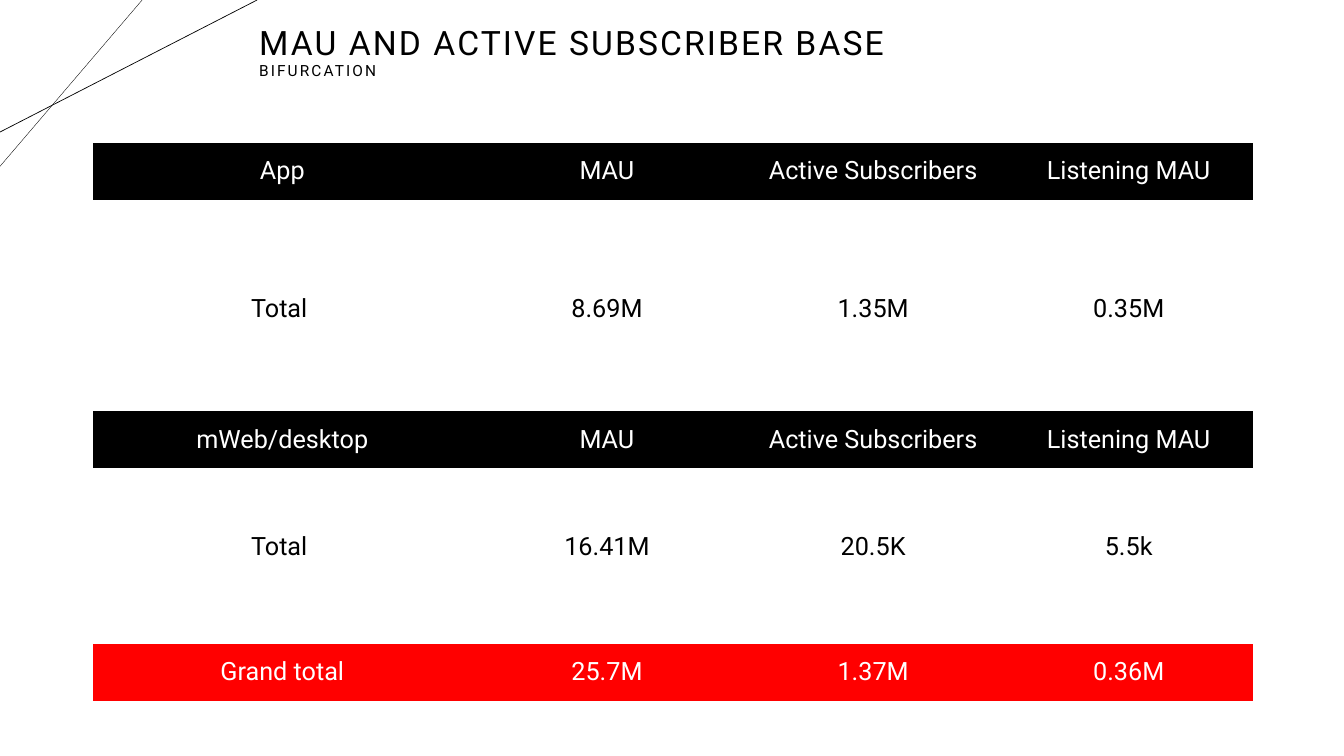
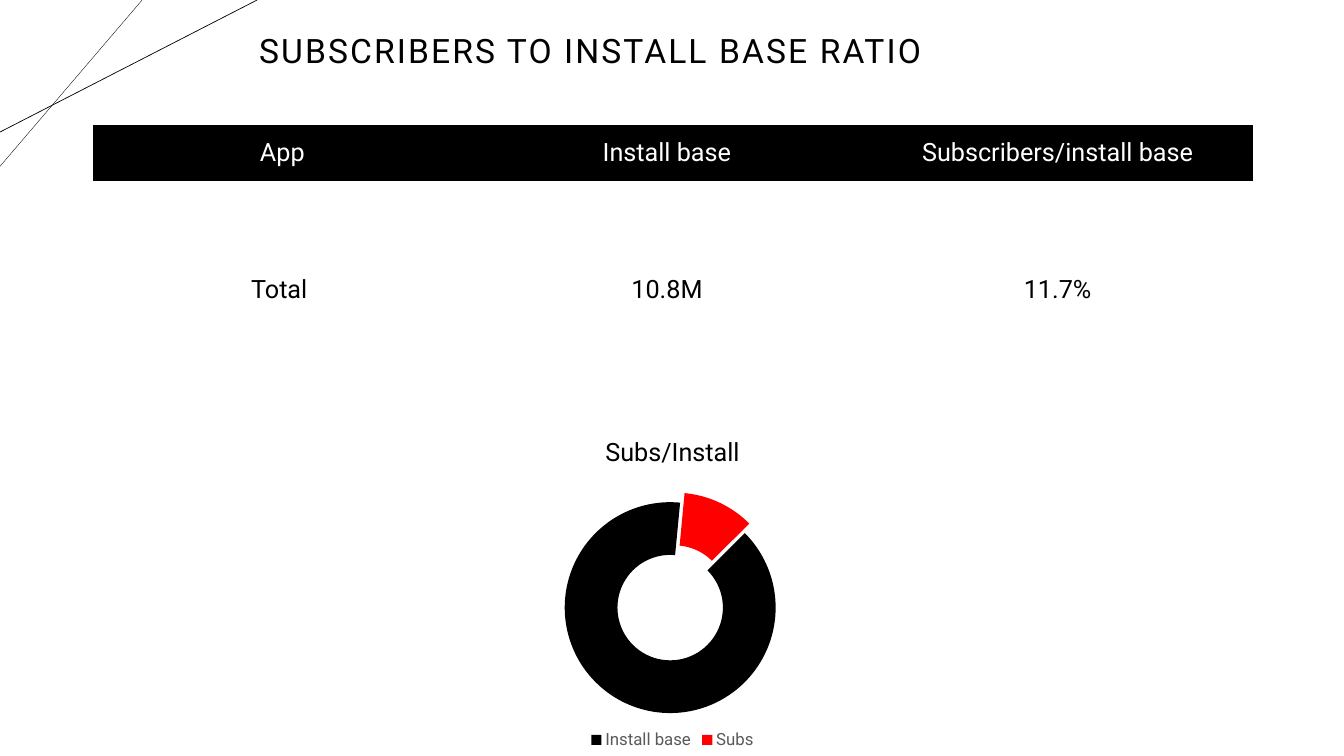
from pptx import Presentation
from pptx.chart.data import CategoryChartData
from pptx.dml.color import RGBColor
from pptx.enum.chart import XL_CHART_TYPE, XL_LEGEND_POSITION
from pptx.enum.shapes import MSO_CONNECTOR
from pptx.enum.text import MSO_ANCHOR, MSO_AUTO_SIZE, PP_ALIGN
from pptx.oxml import parse_xml
from pptx.oxml.ns import nsdecls, qn
from pptx.util import Inches, Pt

COLORS = {"black": "000000", "white": "FFFFFF", "red": "FF0000", "gray": "595959"}
FONT = "Roboto"
PLAIN = "{2D5ABB26-0587-4C30-8999-92F81FD0307C}"
LEFT = 0.92
HEAD = 0.56


def style(font, size, color):
    font.name = FONT
    font.size = Pt(size)
    font.bold = False
    font.color.rgb = RGBColor.from_string(COLORS[color])


def add_grid(slide, top, widths, heights, rows, band):
    frame = slide.shapes.add_table(len(rows), len(widths), Inches(LEFT), Inches(top),
                                   Inches(sum(widths)), Inches(sum(heights)))
    table = frame.table
    table.horz_banding = False
    table._tbl.tblPr.find(qn("a:tableStyleId")).text = PLAIN
    for col, width in zip(table.columns, widths):
        col.width = Inches(width)
    for r, texts in enumerate(rows):
        table.rows[r].height = Inches(heights[r])
        for c, text in enumerate(texts):
            cell = table.cell(r, c)
            cell.vertical_anchor = MSO_ANCHOR.MIDDLE
            if r == 0:
                cell.fill.solid()
                cell.fill.fore_color.rgb = RGBColor.from_string(COLORS[band])
            else:
                cell.fill.background()
            para = cell.text_frame.paragraphs[0]
            para.alignment = PP_ALIGN.CENTER
            run = para.add_run()
            run.text = text
            style(run.font, 18, "black" if r else "white")


prs = Presentation()
prs.slide_width = Inches(13.33)
prs.slide_height = Inches(7.5)
layout = prs.slide_layouts[5]

titles = [
    [("MAU AND ACTIVE SUBSCRIBER BASE", 24), ("BIFURCATION", 11)],
    [("SUBSCRIBERS TO INSTALL BASE RATIO", 24)],
]
slides = []
for lines in titles:
    slide = prs.slides.add_slide(layout)
    slides.append(slide)
    title = slide.shapes.title
    title.left, title.top = Inches(2.47), Inches(-0.01)
    title.width, title.height = Inches(7.97), Inches(1.07)
    frame = title.text_frame
    frame.word_wrap = True
    frame.auto_size = MSO_AUTO_SIZE.NONE
    frame.vertical_anchor = MSO_ANCHOR.MIDDLE
    para = frame.paragraphs[0]
    para.alignment = PP_ALIGN.LEFT
    para.line_spacing = 0.9
    for i, (text, size) in enumerate(lines):
        if i:
            para.add_line_break()
        run = para.add_run()
        run.text = text
        style(run.font, size, "black")
        run._r.get_or_add_rPr().set("spc", "150")

base, ratio = slides

for i, (x, y, weight) in enumerate([(1.41, 1.65, 0.25), (2.55, 1.31, 0.5)]):
    line = base.shapes.add_connector(MSO_CONNECTOR.STRAIGHT, Inches(x), 0, 0, Inches(y))
    line.line.color.rgb = RGBColor.from_string(COLORS["black"])
    line.line.width = Pt(weight)
    line.element.spPr.append(parse_xml(f"<a:effectLst {nsdecls('a')}/>"))
    line.element.xpath(".//p:cNvPr")[0].set("id", str(20 + i))
    layout.shapes.element.append(line.element)

cols = [3.76, 2.68, 2.6, 2.47]
heads = ["MAU", "Active Subscribers", "Listening MAU"]
add_grid(base, 1.42, cols, [HEAD, 2.16, 2.58], [
    ["App", *heads],
    ["Total ", "8.69M", "1.35M", "0.35M"],
    ["Total ", "16.41M", "20.5K", "5.5k"],
], "black")
add_grid(base, 4.08, cols, [HEAD], [["mWeb/desktop", *heads]], "black")
add_grid(base, 6.39, cols, [HEAD], [["Grand total", "25.7M", "1.37M", "0.36M"]], "red")

add_grid(ratio, 1.24, [3.76, 3.87, 3.88], [HEAD, 2.16], [
    ["App", "Install base", "Subscribers/install base"],
    ["Total ", "10.8M", "11.7%"],
], "black")

data = CategoryChartData()
data.categories = ["Install base", "Subs"]
data.add_series("Series 1", [89, 11])
chart = ratio.shapes.add_chart(XL_CHART_TYPE.DOUGHNUT, Inches(3.9), Inches(4.15),
                               Inches(5.54), Inches(3.33), data).chart
style(chart.font, 10, "black")
chart.has_title = True
run = chart.chart_title.text_frame.paragraphs[0].add_run()
run.text = "Subs/Install"
style(run.font, 18, "black")
chart.chart_title.include_in_layout = False
chart.has_legend = True
chart.legend.position = XL_LEGEND_POSITION.BOTTOM
chart.legend.include_in_layout = False
style(chart.legend.font, 12, "gray")

plot = chart.plots[0]
plot.vary_by_categories = True
plot.has_data_labels = False
ring = plot.series[0]
for i, color in enumerate(["black", "red"]):
    fill = ring.points[i].format.fill
    fill.solid()
    fill.fore_color.rgb = RGBColor.from_string(COLORS[color])
ring._element.find(qn("c:dPt")).addprevious(
    parse_xml(f'<c:explosion {nsdecls("c")} val="10"/>'))
chart._chartSpace.xpath(".//c:firstSliceAng")[0].set("val", "45")

area = chart._chartSpace.xpath(".//c:plotArea")[0]
for old in area.findall(qn("c:layout")):
    area.remove(old)
sizes = "".join(f'<c:{key} val="{val}"/>' for key, val in
                [("x", 0.3), ("y", 0.22), ("w", 0.4), ("h", 0.66)])
area.insert(0, parse_xml(
    f'<c:layout {nsdecls("c")}><c:manualLayout><c:layoutTarget val="inner"/>'
    f'<c:xMode val="edge"/><c:yMode val="edge"/>{sizes}</c:manualLayout></c:layout>'))

prs.save("out.pptx")
